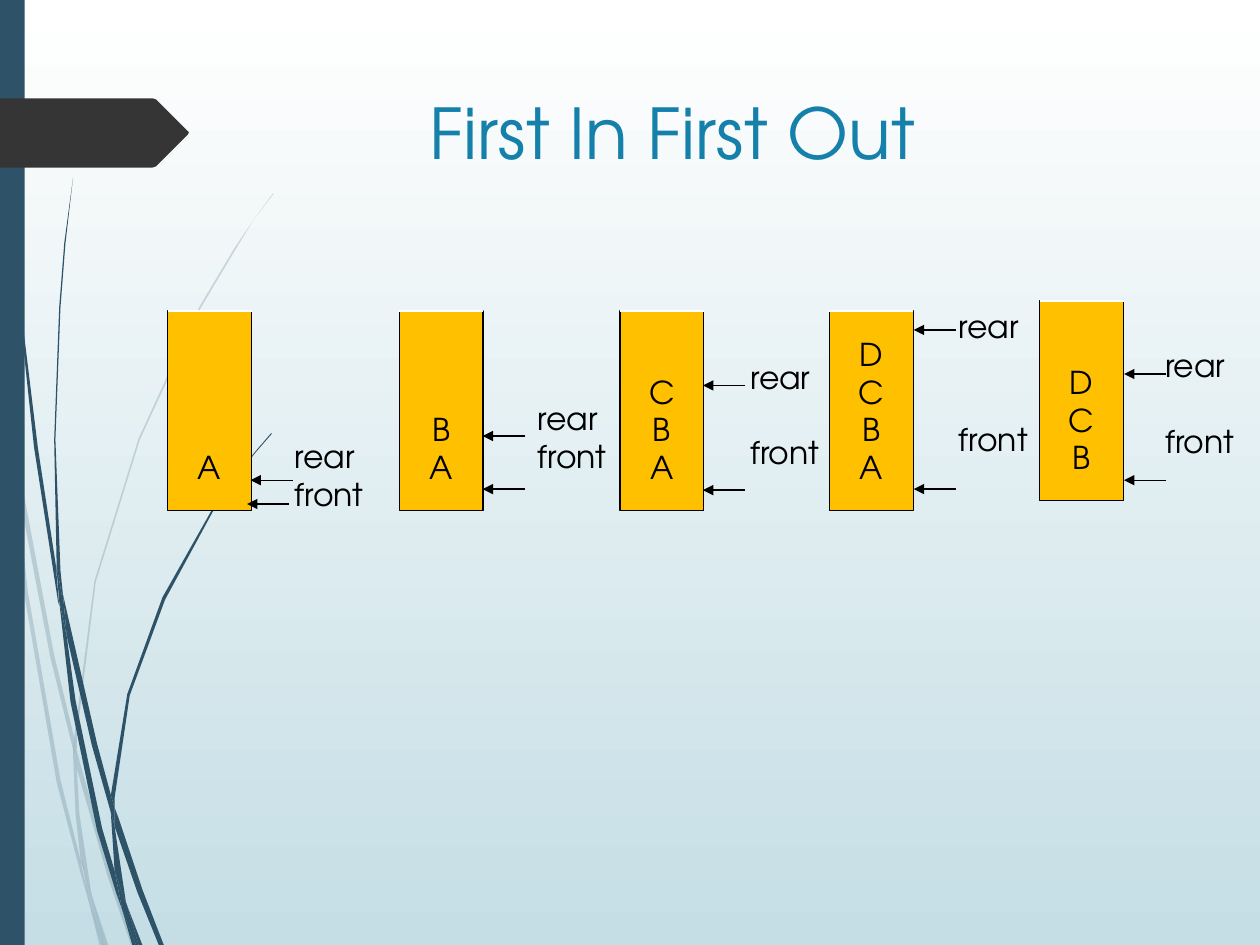
from lxml.etree import SubElement
from pptx import Presentation
from pptx.dml.color import RGBColor
from pptx.enum.shapes import MSO_CONNECTOR, MSO_SHAPE
from pptx.enum.text import MSO_ANCHOR, MSO_AUTO_SIZE, PP_ALIGN
from pptx.oxml.ns import qn
from pptx.util import Cm, Pt

NAVY, BLACK, WHITE = "2E5369", "000000", "FFFFFF"
HUNDREDTH_INCH = Cm(0.0254)
BOX_W, BOX_H = 1.69, 4.02
LINE_PT = 21.5

PALE_STRANDS = [
    "8,350 6,322 0,282 0,299 7,344",
    "40,522 59,599 59,586 43,520 10,345 12,376",
    "64,607 61,596 61,610 85,694 104,750 108,750 88,692",
    "83,750 86,750 73,711",
    "64,683 48,619 22,469 12,376 8,350 19,470 45,621 64,693 70,714 69,707",
    "58,599 60,646 64,683 67,692 73,711 72,706 63,646 61,610 61,608",
    "61,584 76,462 111,349 159,245 187,198 201,175 217,154 217,153 201,175 "
    "186,197 158,244 110,348 75,461 59,584 59,586 61,596",
    "70,714 79,750 82,750",
    "61,608 61,610 61,596 59,586 58,599",
    "67,692 65,683 69,707 70,714 82,750 83,750 73,711",
]
DARK_STRANDS = [
    "5,110 14,233 27,355 46,477 47,481 45,457 45,453 30,355 15,232 6,109 "
    "4,48 3,0 2,0 3,48",
    "73,592 88,645 88,633 88,631 77,590 50,472 53,505",
    "94,649 91,641 91,656 109,708 126,750 130,750 113,706",
    "91,691 81,657 60,556 53,505 47,477 56,557 77,659 92,708 97,722 96,717",
    "50,472 48,453 44,349 48,244 52,193 58,141 51,193 47,244 43,349 45,449 49,472",
    "110,750 113,750 101,719",
    "47,477 53,505 50,472 49,472 45,449 45,453",
    "91,633 103,552 131,476 169,406 191,374 203,359 216,344 215,344 203,358 "
    "191,373 168,405 129,474 101,551 88,631 91,641",
    "97,722 105,750 108,750",
    "88,645 91,691 96,706 101,719 100,716 91,656 90,651",
    "88,645 90,651 91,656 91,641 88,631 88,633",
    "96,706 91,691 96,717 97,722 108,750 110,750 101,719",
]
PENTAGON = "0,78 121,78 124,79 149,104 150,105 149,107 124,132 121,133 0,133"

QUEUES = [
    (3.38, 6.27, "A", [(5.05, 9.68), (4.98, 10.16)], (5.69, 8.69, 2.54, 2.29, 0)),
    (8.05, 6.27, "BA", [(9.73, 8.79), (9.73, 9.86)], (10.59, 7.92, 2.16, 2.29, 0)),
    (12.5, 6.27, "CBA", [(14.17, 7.77), (14.17, 9.88)], (14.88, 7.09, 2.16, 3.3, 1)),
    (16.72, 6.27, "DCBA", [(18.42, 6.65), (18.42, 9.86)], (19.08, 6.07, 2.16, 4.32, 2)),
    (20.96, 6.07, "DCB", [(22.66, 7.54), (22.66, 9.68)], (23.24, 6.86, 2.16, 3.3, 1)),
]


def rgb(value):
    return RGBColor.from_string(value)


class Deck:
    """Hold the text style and the current slide, and draw each kind of element."""

    def __init__(self, slide, font="TeX Gyre Adventor", size=18):
        self.s, self.font, self.size = slide, font, size

    def background(self, top, bottom):
        fill = self.s.background.fill
        fill.gradient()
        fill.gradient_angle = 270
        for stop, value in zip(fill.gradient_stops, (top, bottom)):
            stop.color.rgb = rgb(value)

    def paint(self, sp, fill, line=None):
        sp.shadow.inherit = False
        sp.fill.solid()
        sp.fill.fore_color.rgb = rgb(fill)
        if line:
            sp.line.color.rgb = rgb(line)
            sp.line.width = Pt(0.75)
        else:
            sp.line.fill.background()

    def outline(self, points, fill, alpha=None):
        xy = [tuple(map(int, pair.split(","))) for pair in points.split()]
        builder = self.s.shapes.build_freeform(*xy[0], scale=HUNDREDTH_INCH)
        builder.add_line_segments(xy[1:], close=True)
        sp = builder.convert_to_shape()
        self.paint(sp, fill)
        if alpha:
            color = sp._element.spPr.find(".//" + qn("a:srgbClr"))
            SubElement(color, qn("a:alpha"), val=str(alpha * 1000))

    def rect(self, x, y, w, h, fill, line=None):
        sp = self.s.shapes.add_shape(MSO_SHAPE.RECTANGLE, Cm(x), Cm(y), Cm(w), Cm(h))
        self.paint(sp, fill, line)
        return sp

    def add_lines(self, tf, lines, align=PP_ALIGN.LEFT, size=None, color=BLACK, skip=0):
        for i, text in enumerate(lines):
            p = tf.add_paragraph() if i else tf.paragraphs[0]
            p.alignment = align
            if i and skip:
                p.space_before = Pt(skip * LINE_PT)
            r = p.add_run()
            r.text = text
            r.font.name = self.font
            r.font.size = Pt(size or self.size)
            r.font.color.rgb = rgb(color)

    def title(self, text, x, y, w, h):
        sp = self.s.shapes.title
        sp.left, sp.top, sp.width, sp.height = Cm(x), Cm(y), Cm(w), Cm(h)
        sp.text_frame.vertical_anchor = MSO_ANCHOR.MIDDLE
        self.add_lines(sp.text_frame, [text], PP_ALIGN.CENTER, 40, "1581AA")

    def queue(self, x, y, letters):
        tf = self.rect(x, y, BOX_W, BOX_H, "FFC000", BLACK).text_frame
        tf.vertical_anchor = MSO_ANCHOR.BOTTOM
        tf.margin_bottom = Cm(0.49)
        self.add_lines(tf, letters, PP_ALIGN.CENTER)
        self.line(x, y, x + BOX_W, y, WHITE)

    def label(self, lines, x, y, w, h, skip):
        tf = self.s.shapes.add_textbox(Cm(x), Cm(y), Cm(w), Cm(h)).text_frame
        tf.word_wrap = True
        tf.auto_size = MSO_AUTO_SIZE.SHAPE_TO_FIT_TEXT
        self.add_lines(tf, lines, skip=skip)

    def line(self, x1, y1, x2, y2, color, arrow=False):
        c = self.s.shapes.add_connector(
            MSO_CONNECTOR.STRAIGHT, Cm(x1), Cm(y1), Cm(x2), Cm(y2))
        c.line.color.rgb = rgb(color)
        c.line.width = Pt(0.75)
        if arrow:
            SubElement(c.line._get_or_add_ln(), qn("a:tailEnd"), type="triangle")
        SubElement(c._element.spPr, qn("a:effectLst"))


def main():
    prs = Presentation()
    prs.slide_width, prs.slide_height = Cm(25.4), Cm(19.05)
    deck = Deck(prs.slides.add_slide(prs.slide_layouts[5]))
    deck.background(WHITE, "C5DEE5")
    for strand in PALE_STRANDS:
        deck.outline(strand, NAVY, alpha=20)
    for strand in DARK_STRANDS:
        deck.outline(strand, NAVY)
    deck.rect(0, 0, 0.5, 19.05, NAVY)
    deck.outline(PENTAGON, "353535")
    for x, y, letters, tips, label in QUEUES:
        deck.queue(x, y, letters)
        for tip_x, tip_y in tips:
            deck.line(tip_x + 0.85, tip_y, tip_x, tip_y, BLACK, arrow=True)
        deck.label(["rear", "front"], *label)
    deck.title("First In First Out", 2.12, 1.06, 22.86, 3.18)
    prs.save("out.pptx")


if __name__ == "__main__":
    main()
